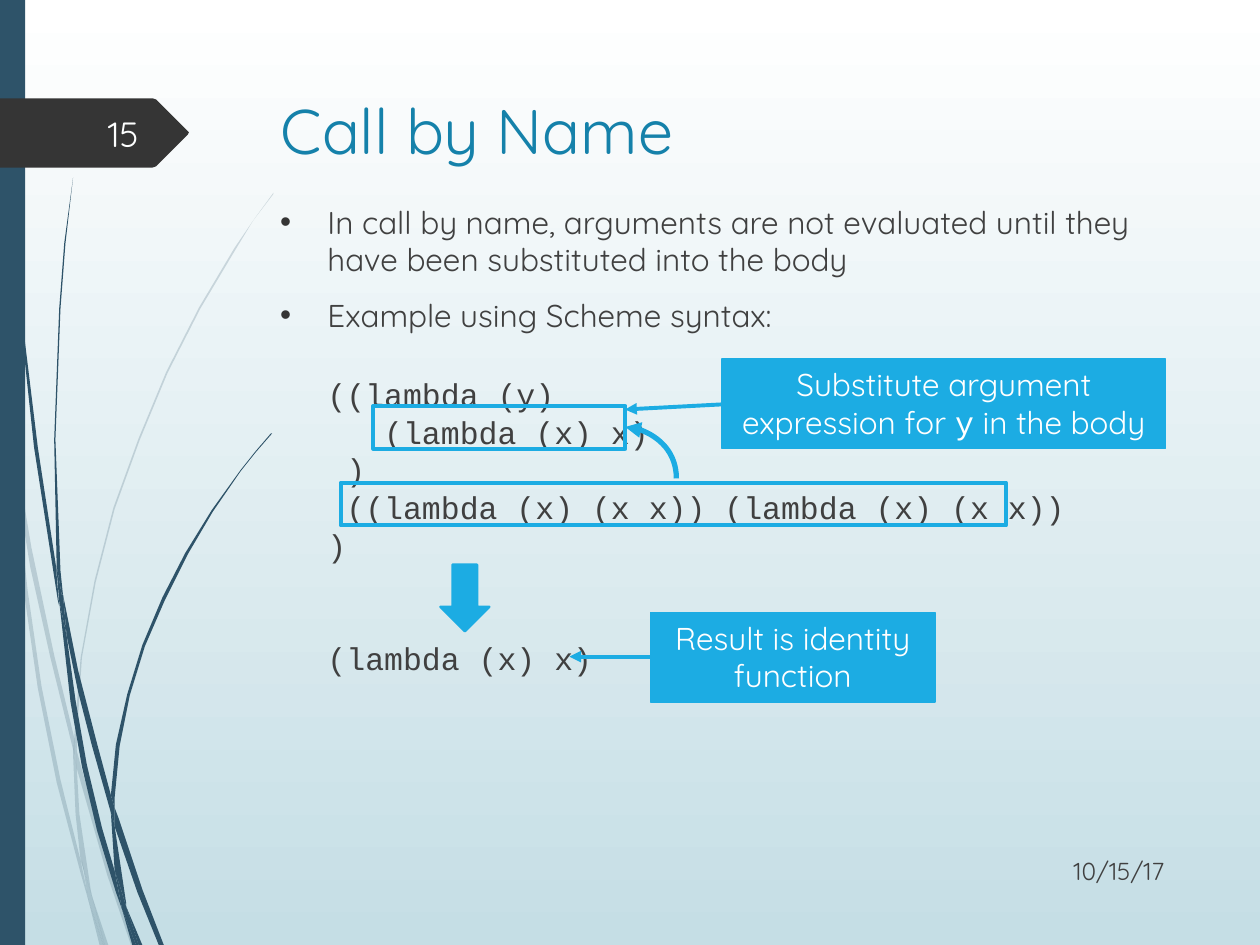
import pptx
import pptx.util
import pptx.dml.color
import pptx.enum.shapes
import pptx.enum.text
import pptx.oxml.ns
from lxml import etree

Pt = pptx.util.Pt
KIND = pptx.enum.shapes.MSO_SHAPE
LINK = pptx.enum.shapes.MSO_CONNECTOR
ALIGN = pptx.enum.text.PP_ALIGN
ANCHOR = pptx.enum.text.MSO_ANCHOR
qn = pptx.oxml.ns.qn

HEX = {"navy": "2E5369", "dark": "353535", "text": "404040", "title": "1581AA",
       "blue": "1CACE3", "white": "FFFFFF", "pale": "FEFFFF", "mist": "C5DEE5"}
SANS, MONO = "Quicksand", "Courier New"
UNIT = 0.72  # points per outline unit

# Outlines as x, y pairs
FAINT = [
    "8,350 6,322 0,282 0,299 7,344",
    "40,522 59,599 59,586 43,520 25,435 10,345 12,376 24,450",
    "64,607 61,596 61,610 85,694 104,750 108,750 88,692",
    "83,750 86,750 73,711",
    "64,683 48,619 33,545 22,469 12,376 8,350 12,410 19,470 30,546 45,621 64,693 70,714 69,707",
    "58,599 60,646 64,683 67,692 73,711 72,706 63,646 61,610 61,608",
    "61,584 65,522 76,462 91,404 111,349 133,296 159,245 187,198 201,175 217,154 217,153 "
    "201,175 186,197 158,244 132,295 110,348 90,403 75,461 64,522 59,584 59,586 61,596",
    "70,714 79,750 82,750",
    "61,608 61,610 61,596 59,586 58,599",
    "67,692 65,683 69,707 70,714 82,750 83,750 73,711",
]
SOLID = [
    "5,110 14,233 27,355 46,477 47,481 45,457 45,453 30,355 15,232 6,109 4,48 3,0 2,0 3,48",
    "73,592 88,645 88,633 88,631 77,590 62,532 50,472 53,505 62,549",
    "94,649 91,641 91,656 109,708 126,750 130,750 113,706",
    "91,691 81,657 69,607 60,556 53,505 47,477 56,557 65,608 77,659 92,708 97,722 96,717",
    "50,472 48,453 44,349 48,245 52,193 58,141 51,193 47,245 43,349 45,449 49,472",
    "110,750 113,750 100,719",
    "47,477 53,505 50,472 49,472 45,449 45,453",
    "91,633 95,592 103,552 115,513 131,476 149,440 169,406 191,374 203,359 216,344 215,344 "
    "203,358 191,373 168,405 147,439 129,474 113,512 101,551 92,591 88,631 91,641",
    "97,722 105,750 108,750",
    "88,645 91,691 96,706 100,719 100,716 91,656 90,651",
    "88,645 90,651 91,656 91,641 88,631 88,633",
    "96,706 91,691 96,717 97,722 108,750 110,750 100,719",
]
TAG = ["149,107 124,132 121,133 0,133 0,78 121,78 124,79 149,104 150,105"]

CODE = "((lambda (y)\v   (lambda (x) x)\v )\v ((lambda (x) (x x)) (lambda (x) (x x))\v)"


def color(name):
    return pptx.dml.color.RGBColor.from_string(HEX[name])


def paint(shape, fill=None, line=None, width=1):
    shape.shadow.inherit = False
    for part, tint in ((shape.fill, fill), (shape.line.fill, line)):
        if tint:
            part.solid()
            part.fore_color.rgb = color(tint)
        else:
            part.background()
    if line:
        shape.line.width = Pt(width)


def draw(slide, outlines, fill, alpha=None):
    """Add one filled freeform for each outline."""
    for text in outlines:
        first, *rest = [tuple(map(int, pair.split(","))) for pair in text.split()]
        pen = slide.shapes.build_freeform(*first, scale=Pt(UNIT))
        pen.add_line_segments(rest, close=True)
        shape = pen.convert_to_shape()
        paint(shape, fill)
        if alpha:
            tint = shape.fill._xPr.find(".//" + qn("a:srgbClr"))
            etree.SubElement(tint, qn("a:alpha")).set("val", str(alpha * 1000))


def block(slide, box, kind, fill=None, line="blue", width=2.25):
    shape = slide.shapes.add_shape(kind, *map(Pt, box))
    paint(shape, fill, line, width)
    return shape


def write(para, runs, size, tint):
    for text, face in runs:
        for i, piece in enumerate(text.split("\v")):
            if i:
                para.add_line_break()
            run = para.add_run()
            run.text = piece
            for key, value in {"size": Pt(size), "name": face}.items():
                setattr(run.font, key, value)
            run.font.color.rgb = color(tint)


def label(slide, box, text, size, tint, align=ALIGN.LEFT, anchor=ANCHOR.TOP):
    frame = slide.shapes.add_textbox(*map(Pt, box)).text_frame
    frame.word_wrap = True
    frame.vertical_anchor = anchor
    frame.paragraphs[0].alignment = align
    write(frame.paragraphs[0], [(text, SANS)], size, tint)


def body(slide, box):
    frame = slide.shapes.add_textbox(*map(Pt, box)).text_frame
    frame.word_wrap = True
    rows = [
        ("In call by name, arguments are not evaluated until they "
         "have been substituted into the body", SANS, 0),
        ("Example using Scheme syntax:", SANS, 10),
        (CODE, MONO, 23.5),
        ("(lambda (x) x)", MONO, 43.2),
    ]
    for i, (text, face, gap) in enumerate(rows):
        para = frame.add_paragraph() if i else frame.paragraphs[0]
        para.space_before = Pt(gap)
        props = para._p.get_or_add_pPr()
        props.set("marL", str(Pt(27)))
        if face == SANS:
            props.set("indent", str(Pt(-27)))
            tint = etree.SubElement(props, qn("a:buClr"))
            etree.SubElement(tint, qn("a:srgbClr")).set("val", HEX["dark"])
            etree.SubElement(props, qn("a:buFont")).set("typeface", "Arial")
            etree.SubElement(props, qn("a:buChar")).set("char", "•")
        else:
            para.line_spacing = Pt(21.6)
        write(para, [(text, face)], 18, "text")


def note(slide, box, runs):
    shape = block(slide, box, KIND.RECTANGLE, "blue", width=0.75)
    frame = shape.text_frame
    frame.word_wrap = True
    frame.vertical_anchor = ANCHOR.TOP
    frame.paragraphs[0].alignment = ALIGN.CENTER
    write(frame.paragraphs[0], runs, 18, "white")


def arrow(slide, ends, width=2.25, kind=LINK.STRAIGHT):
    link = slide.shapes.add_connector(kind, *map(Pt, ends))
    link.line.color.rgb = color("blue")
    link.line.width = Pt(width)
    etree.SubElement(link.line._get_or_add_ln(), qn("a:tailEnd")).set("type", "triangle")
    etree.SubElement(link._element.spPr, qn("a:effectLst"))
    return link


def bend(slide, ends):
    """Curved arrow that leaves upward and arrives leftward."""
    props = arrow(slide, ends, 3, LINK.CURVE)._element.spPr
    props.find(qn("a:xfrm")).set("rot", str(270 * 60000))
    props.find(qn("a:prstGeom")).set("prst", "curvedConnector2")


def frame(slide, width, height):
    """Background, side decoration, page tag and date."""
    fill = slide.background.fill
    fill.gradient()
    fill.gradient_angle = 270
    for stop, tint in zip(fill.gradient_stops, ("white", "mist")):
        stop.color.rgb = color(tint)
    draw(slide, FAINT, "navy", 20)
    draw(slide, SOLID, "navy")
    paint(slide.shapes.add_shape(KIND.RECTANGLE, 0, 0, Pt(14.4), Pt(height)), "navy")
    draw(slide, TAG, "dark")
    label(slide, (40.3, 61.9, 46.1, 28.8), "15", 20, "pale", ALIGN.RIGHT, ANCHOR.MIDDLE)
    label(slide, (width - 143.3, height - 56.9, 95.8, 28.8), "10/15/17", 14, "text",
          ALIGN.RIGHT, ANCHOR.MIDDLE)


def lesson(slide, x, y, width):
    label(slide, (x, y, width, 54), "Call by Name", 36, "title")
    body(slide, (x - 0.4, y + 63.3, width, 360))
    block(slide, (x + 98.2, y + 273.6, 28.1, 38.2), KIND.DOWN_ARROW, "blue", width=1.25)
    block(slide, (x + 41.3, y + 226.8, 380.2, 24.5), KIND.RECTANGLE)
    bend(slide, (x + 203.8, y + 224.3, x + 233.2, y + 195.1))
    block(slide, (x + 60, y + 182.9, 144, 24.5), KIND.RECTANGLE)
    note(slide, (x + 259.2, y + 156.2, 253.4, 51.1),
         [("Substitute argument expression for ", SANS), ("y", MONO), (" in the body", SANS)])
    arrow(slide, (x + 259.2, y + 182.1, x + 203.8, y + 185))
    note(slide, (x + 218.2, y + 301, 162.7, 51.1), [("Result is identity function", SANS)])
    arrow(slide, (x + 218.2, y + 326.2, x + 172, y + 326.2))


def main():
    deck = pptx.Presentation()
    deck.slide_width, deck.slide_height = Pt(720), Pt(540)
    slide = deck.slides.add_slide(deck.slide_layouts[6])
    frame(slide, 720, 540)
    lesson(slide, 153.4, 49, 519.1)
    deck.save("out.pptx")


if __name__ == "__main__":
    main()
